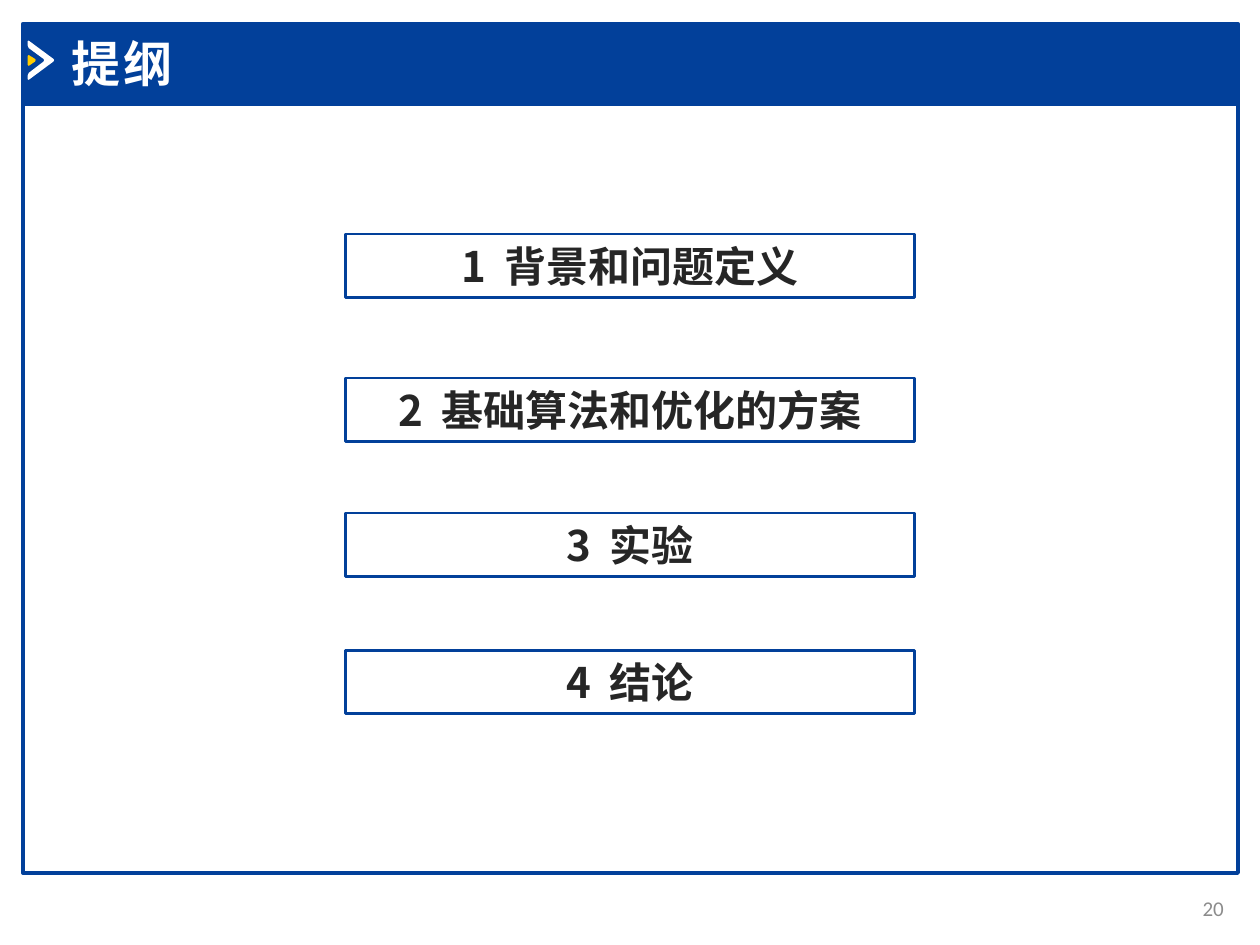
from pptx import Presentation
from pptx.dml.color import RGBColor
from pptx.enum import shapes, text
from pptx.oxml import ns
from pptx.util import Cm, Pt
from lxml import etree

BLUE = RGBColor(0x02, 0x40, 0x9A)
WHITE = RGBColor(0xFF, 0xFF, 0xFF)
YELLOW = RGBColor(0xFF, 0xCC, 0x00)
DARK = RGBColor(0x26, 0x26, 0x26)
GREY = RGBColor(0x8C, 0x8C, 0x8C)
CJK = "Noto Sans CJK SC"


def add_run(p, content, font, size, color, bold=False, spacing=0):
    r = p.add_run()
    r.text = content
    r.font.name = font
    r.font.size = Pt(size)
    r.font.bold = bold
    r.font.color.rgb = color
    rpr = r.font._element
    etree.SubElement(rpr, ns.qn("a:ea")).set("typeface", CJK)
    if spacing:
        rpr.set("spc", str(int(spacing * 100)))


def add_rect(left, top, width, height, fill, weight):
    sp = s.shapes.add_shape(
        shapes.MSO_SHAPE.RECTANGLE, Cm(left), Cm(top), Cm(width), Cm(height)
    )
    sp.shadow.inherit = False
    if fill:
        sp.fill.solid()
        sp.fill.fore_color.rgb = fill
    else:
        sp.fill.background()
    sp.line.color.rgb = BLUE
    sp.line.width = Pt(weight)
    return sp


prs = Presentation()
prs.slide_width, prs.slide_height = Cm(25.4), Cm(19.05)
s = prs.slides.add_slide(prs.slide_layouts[6])

add_rect(0.46, 2.11, 24.5, 15.49, None, 2)
add_rect(0.46, 0.48, 24.5, 1.63, BLUE, 2)

chevron = [(56, 83), (58, 82), (108, 119), (109, 121), (108, 124), (58, 161),
           (56, 160), (56, 152), (58, 147), (88, 124), (89, 121), (88, 119),
           (58, 97), (56, 92)]
pointer = [(56, 113), (58, 111), (71, 119), (72, 121), (71, 124), (58, 133), (56, 131)]
for points, color in ((chevron, WHITE), (pointer, YELLOW)):
    fb = s.shapes.build_freeform(*points[0], scale=Cm(0.01))
    fb.add_line_segments(points[1:])
    sp = fb.convert_to_shape()
    sp.shadow.inherit = False
    sp.fill.solid()
    sp.fill.fore_color.rgb = color
    sp.line.fill.background()

number = s.shapes.add_textbox(Cm(23.42), Cm(17.8), Cm(1.5), Cm(1.02))
tf = number.text_frame
tf.word_wrap = True
tf.vertical_anchor = text.MSO_ANCHOR.MIDDLE
p = tf.paragraphs[0]
p.alignment = text.PP_ALIGN.RIGHT
add_run(p, "20", "Calibri", 12, GREY)

title = s.shapes.add_textbox(Cm(1.19), Cm(0.56), Cm(9.04), Cm(1.45))
title.text_frame.word_wrap = True
add_run(title.text_frame.paragraphs[0], "提纲", "Calibri", 28, WHITE, True, 2)

sections = [
    (4.72, "背景和问题定义"),
    (7.62, "基础算法和优化的方案"),
    (10.34, "实验"),
    (13.11, "结论"),
]
for i, (top, heading) in enumerate(sections, 1):
    sp = add_rect(6.96, top, 11.48, 1.28, None, 1.5)
    tf = sp.text_frame
    tf.word_wrap = True
    tf.vertical_anchor = text.MSO_ANCHOR.MIDDLE
    p = tf.paragraphs[0]
    p.alignment = text.PP_ALIGN.CENTER
    add_run(p, str(i), CJK, 24, DARK, True)
    add_run(p, " ", CJK, 24, DARK, True, 5.4)
    add_run(p, heading, CJK, 24, DARK, True)

prs.save("out.pptx")
